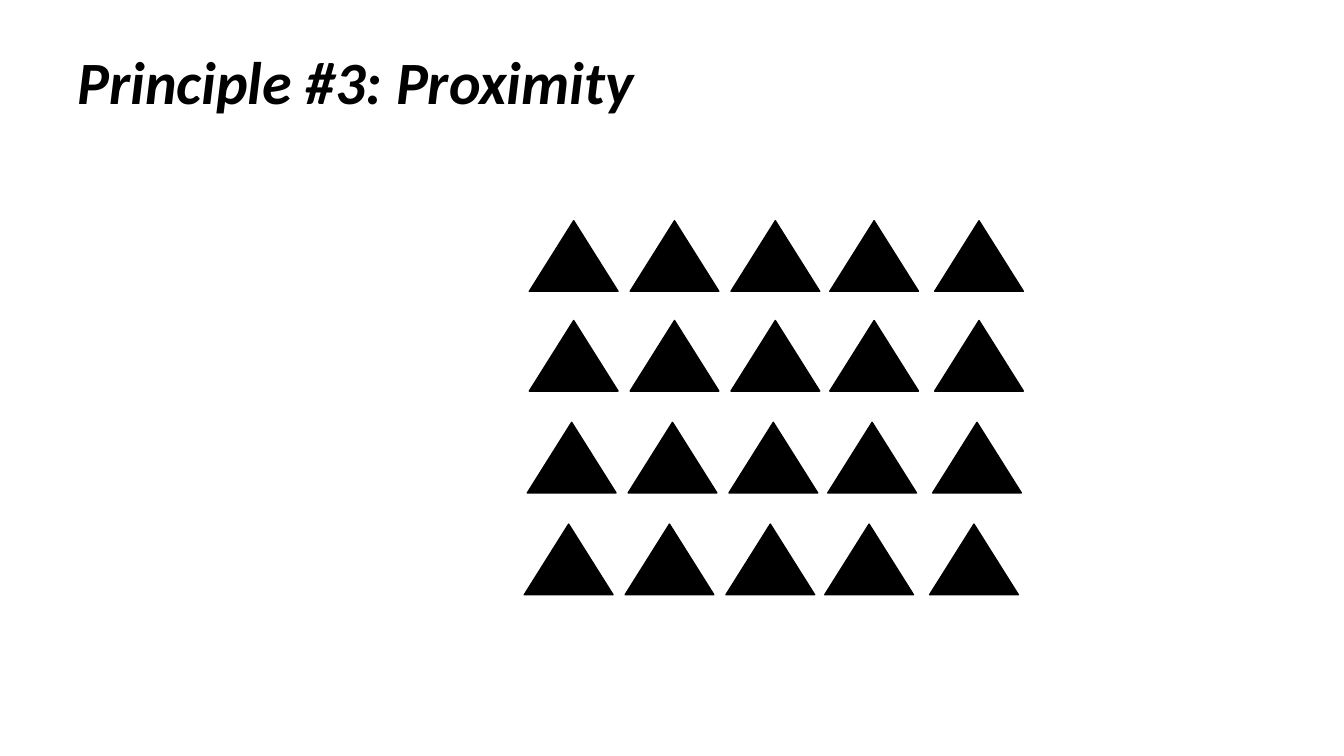
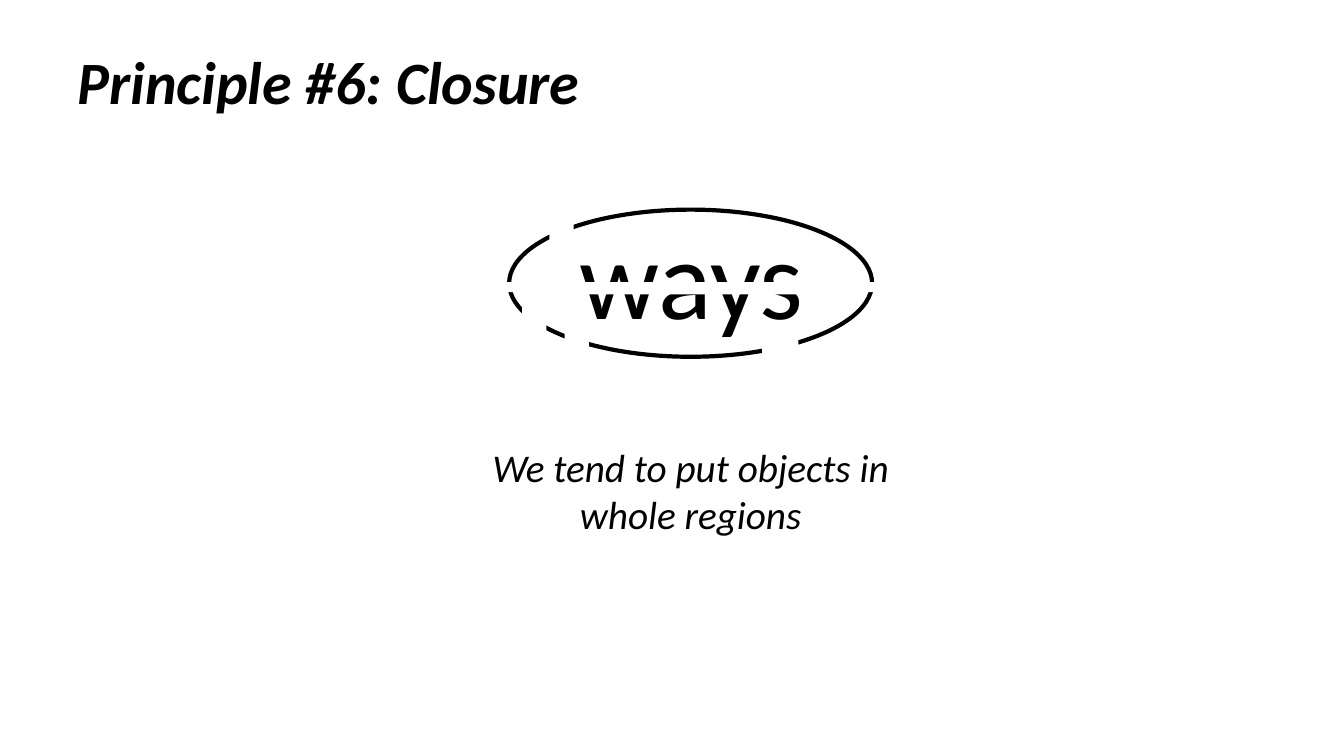
from dataclasses import dataclass

from pptx import Presentation
from pptx.dml.color import RGBColor
from pptx.enum.shapes import MSO_SHAPE
from pptx.enum.text import MSO_ANCHOR, PP_ALIGN
from pptx.util import Inches, Pt

FONT = "Calibri"
BLACK = "000000"
WHITE = "FFFFFF"


@dataclass(frozen=True)
class Box:
    left: float
    top: float
    width: float
    height: float

    def lengths(self):
        return [Inches(v) for v in (self.left, self.top, self.width, self.height)]


@dataclass(frozen=True)
class TextStyle:
    size: float
    bold: bool = False
    italic: bool = False
    align: PP_ALIGN = PP_ALIGN.LEFT
    anchor: MSO_ANCHOR = MSO_ANCHOR.TOP
    line_spacing: float = 1.0


TITLE_BOX = Box(0.67, 0.21, 9.09, 1)
TITLE_STYLE = TextStyle(42.9, bold=True, italic=True,
                        anchor=MSO_ANCHOR.BOTTOM, line_spacing=0.9)
CAPTION_STYLE = TextStyle(28, italic=True, align=PP_ALIGN.CENTER)
WORD_STYLE = TextStyle(80)

TRIANGLE_WIDTH, TRIANGLE_HEIGHT = 0.88, 0.7
# Left and top of each row, then the column offsets within a row
ROW_STARTS = [(5.25, 2.19), (5.25, 3.18), (5.23, 4.19), (5.2, 5.2)]
COLUMN_OFFSETS = [0, 1, 2, 2.98, 4.02]

WORD_GAP = Box(5.47, 2.8, 2.95, 0.12)
OVAL = Box(5.05, 2.08, 3.6, 1.46)
OVAL_GAPS = [
    Box(4.81, 2.8, 4.26, 0.1),
    *(Box(left, top, 0.24, 0.34)
      for left, top in [(5.45, 2.14), (5.18, 2.96), (5.6, 3.21)]),
    Box(7.56, 3.25, 0.36, 0.38),
]


def color(hex_value: str) -> RGBColor:
    return RGBColor.from_string(hex_value)


def add_text(shapes, box: Box, lines: list[str], style: TextStyle) -> None:
    """Add a text box with one paragraph for each line."""
    frame = shapes.add_textbox(*box.lengths()).text_frame
    frame.word_wrap = True
    frame.vertical_anchor = style.anchor
    for index, line in enumerate(lines):
        paragraph = frame.add_paragraph() if index else frame.paragraphs[0]
        paragraph.alignment = style.align
        paragraph.line_spacing = style.line_spacing
        run = paragraph.add_run()
        run.text = line
        run.font.name = FONT
        run.font.size = Pt(style.size)
        run.font.bold = style.bold
        run.font.italic = style.italic
        run.font.color.rgb = color(BLACK)


def add_figure(shapes, kind: MSO_SHAPE, box: Box, fill: str | None = None,
               line: str | None = None, line_width: float = 1) -> None:
    """Add a preset shape; a missing fill or line stays empty."""
    figure = shapes.add_shape(kind, *box.lengths())
    figure.shadow.inherit = False
    if fill:
        figure.fill.solid()
        figure.fill.fore_color.rgb = color(fill)
    else:
        figure.fill.background()
    if line:
        figure.line.color.rgb = color(line)
        figure.line.width = Pt(line_width)
    else:
        figure.line.fill.background()


def add_principle_slide(deck, title: str):
    slide = deck.slides.add_slide(deck.slide_layouts[6])
    slide.background.fill.solid()
    slide.background.fill.fore_color.rgb = color(WHITE)
    add_text(slide.shapes, TITLE_BOX, [title], TITLE_STYLE)
    return slide


def build_proximity(deck) -> None:
    slide = add_principle_slide(deck, "Principle #3: Proximity")
    for left, top in ROW_STARTS:
        row = slide.shapes.add_group_shape().shapes
        for offset in COLUMN_OFFSETS:
            triangle = Box(left + offset, top, TRIANGLE_WIDTH, TRIANGLE_HEIGHT)
            add_figure(row, MSO_SHAPE.ISOSCELES_TRIANGLE, triangle, BLACK, BLACK)


def build_closure(deck) -> None:
    slide = add_principle_slide(deck, "Principle #6: Closure")
    add_text(slide.shapes, Box(3, 4.35, 7.7, 1.04),
             ["We tend to put objects in", "whole regions"], CAPTION_STYLE)
    emblem = slide.shapes.add_group_shape().shapes
    add_text(emblem, Box(5.65, 2.01, 2.95, 1.45), ["ways"], WORD_STYLE)
    add_figure(emblem, MSO_SHAPE.RECTANGLE, WORD_GAP, WHITE)
    add_figure(emblem, MSO_SHAPE.OVAL, OVAL, line=BLACK, line_width=3)
    for gap in OVAL_GAPS:
        add_figure(emblem, MSO_SHAPE.RECTANGLE, gap, WHITE)


def main() -> None:
    deck = Presentation()
    deck.slide_width = Inches(13.33)
    deck.slide_height = Inches(7.5)
    build_proximity(deck)
    build_closure(deck)
    deck.save("out.pptx")


if __name__ == "__main__":
    main()
